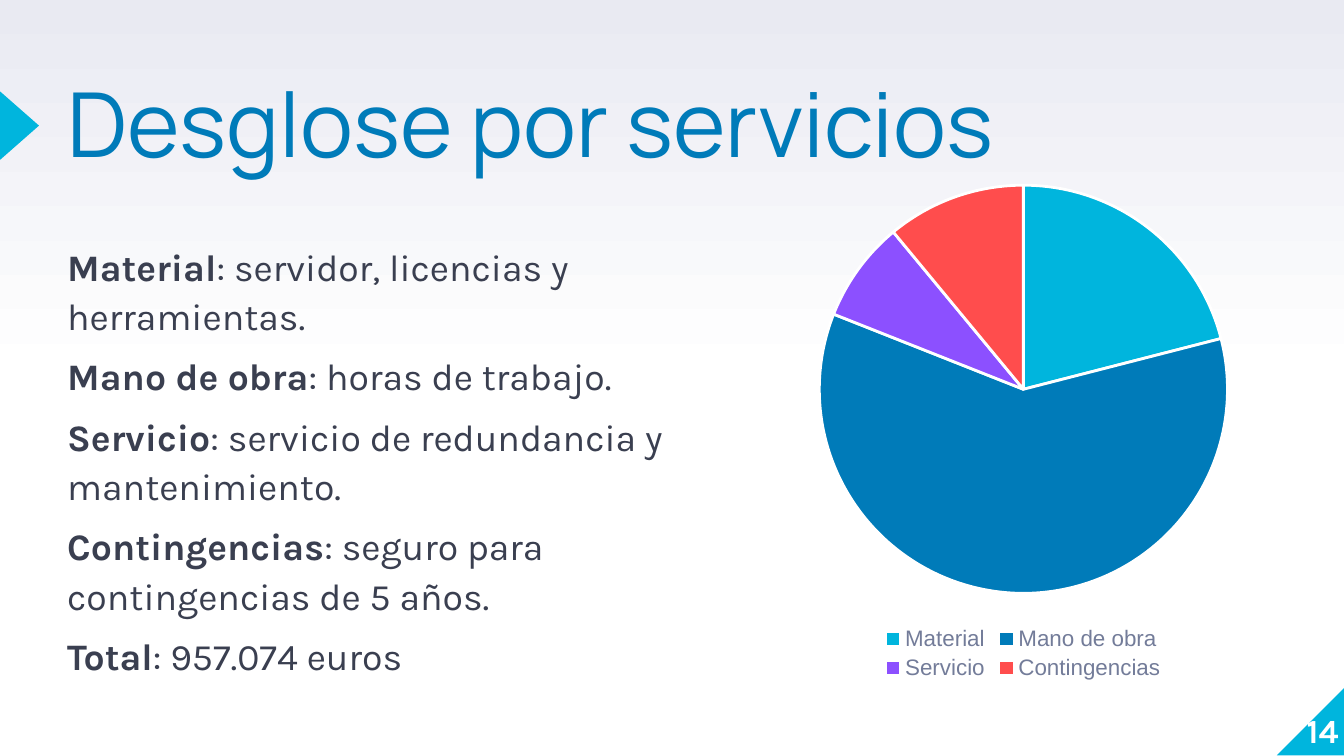
"""Build the slide that breaks the budget down by service."""
import pptx
import pptx.chart.data
import pptx.dml.color
import pptx.enum.chart
import pptx.enum.shapes
import pptx.enum.text
import pptx.util

Inches = pptx.util.Inches
Pt = pptx.util.Pt
RGBColor = pptx.dml.color.RGBColor
Shape = pptx.enum.shapes.MSO_SHAPE
Align = pptx.enum.text.PP_ALIGN
Anchor = pptx.enum.text.MSO_ANCHOR

CYAN = RGBColor(0x00, 0xB5, 0xDD)
BLUE = RGBColor(0x00, 0x7B, 0xB9)
PURPLE = RGBColor(0x8C, 0x50, 0xFF)
RED = RGBColor(0xFF, 0x4D, 0x4D)
INK = RGBColor(0x3A, 0x3F, 0x50)
GREY = RGBColor(0x73, 0x7C, 0x99)
WHITE = RGBColor(0xFF, 0xFF, 0xFF)
LAVENDER = RGBColor(0xE9, 0xEA, 0xF2)

TITLE = [[("Desglose por servicios", False)]]
DETAILS = [
    ("Material", ": servidor, licencias y herramientas."),
    ("Mano de obra", ": horas de trabajo."),
    ("Servicio", ": servicio de redundancia y mantenimiento."),
    ("Contingencias", ": seguro para contingencias de 5 años."),
    ("Total", ": 957.074 euros"),
]
PAGE_NUMBER = [[("14", True)]]
SHARES = [
    ("Material", 21, CYAN),
    ("Mano de obra", 60, BLUE),
    ("Servicio", 8, PURPLE),
    ("Contingencias", 11, RED),
]
MARKERS = [
    (Shape.RIGHT_TRIANGLE, (9.5, 5.11, 0.51, 0.51), 270),
    (Shape.ISOSCELES_TRIANGLE, (-0.11, 0.79, 0.51, 0.29), 90),
]


def add_text(page, paragraphs, place, *, size, font, color, spacing=1.0,
             gap=0, align=Align.LEFT, anchor=Anchor.TOP):
    box = page.shapes.add_textbox(*map(Inches, place))
    frame = box.text_frame
    frame.word_wrap = True
    frame.vertical_anchor = anchor
    frame.margin_left = frame.margin_right = 0
    frame.margin_top = frame.margin_bottom = 0
    for index, spans in enumerate(paragraphs):
        para = frame.add_paragraph() if index else frame.paragraphs[0]
        para.alignment = align
        para.line_spacing = spacing
        para.space_before = Pt(gap if index else 0)
        for text, bold in spans:
            span = para.add_run()
            span.text = text
            span.font.size = Pt(size)
            span.font.name = font
            span.font.bold = bold
            span.font.color.rgb = color


def paint_background(page):
    fill = page.background.fill
    fill.gradient()
    fill.gradient_angle = 90
    stops = zip(fill.gradient_stops, [(0.5, WHITE), (1, LAVENDER)])
    for stop, (position, color) in stops:
        stop.position = position
        stop.color.rgb = color


def add_marker(page, kind, place, rotation):
    marker = page.shapes.add_shape(kind, *map(Inches, place))
    marker.rotation = rotation
    marker.shadow.inherit = False
    marker.fill.solid()
    marker.fill.fore_color.rgb = CYAN
    marker.line.fill.background()


def add_pie(page, place):
    data = pptx.chart.data.CategoryChartData()
    data.categories = [name for name, _, _ in SHARES]
    data.add_series("Series 1", [value for _, value, _ in SHARES])
    chart = page.shapes.add_chart(
        pptx.enum.chart.XL_CHART_TYPE.PIE, *map(Inches, place), data).chart
    chart.has_title = False
    chart.font.size = Pt(10)
    chart.font.name = "Arial"
    chart.font.color.rgb = INK
    chart.has_legend = True
    legend = chart.legend
    legend.position = pptx.enum.chart.XL_LEGEND_POSITION.BOTTOM
    legend.include_in_layout = False
    legend.font.size = Pt(12)
    legend.font.name = "Arial"
    legend.font.color.rgb = GREY
    plot = chart.plots[0]
    plot.vary_by_categories = True
    for index, (_, _, color) in enumerate(SHARES):
        style = plot.series[0].points[index].format
        style.fill.solid()
        style.fill.fore_color.rgb = color
        style.line.color.rgb = WHITE
        style.line.width = Pt(1.5)


def main():
    deck = pptx.Presentation()
    deck.slide_width = Inches(10)
    deck.slide_height = deck.slide_width * 9 // 16
    page = deck.slides.add_slide(deck.slide_layouts[6])
    paint_background(page)
    for marker in MARKERS:
        add_marker(page, *marker)
    add_text(page, TITLE, (0.5, 0.66, 7.26, 1.18),
             size=48, font="Manrope", color=BLUE, spacing=0.8)
    details = [[(term, True), (rest, False)] for term, rest in DETAILS]
    add_text(page, details, (0.5, 1.78, 5.28, 3.29),
             size=20, font="Karla", color=INK, spacing=1.1, gap=6)
    add_text(page, PAGE_NUMBER, (9.46, 5.07, 0.5, 0.51), size=18,
             font="Karla", color=WHITE, align=Align.RIGHT, anchor=Anchor.BOTTOM)
    add_pie(page, (5.23, 1.24, 4.77, 3.86))
    deck.save("out.pptx")


if __name__ == "__main__":
    main()
